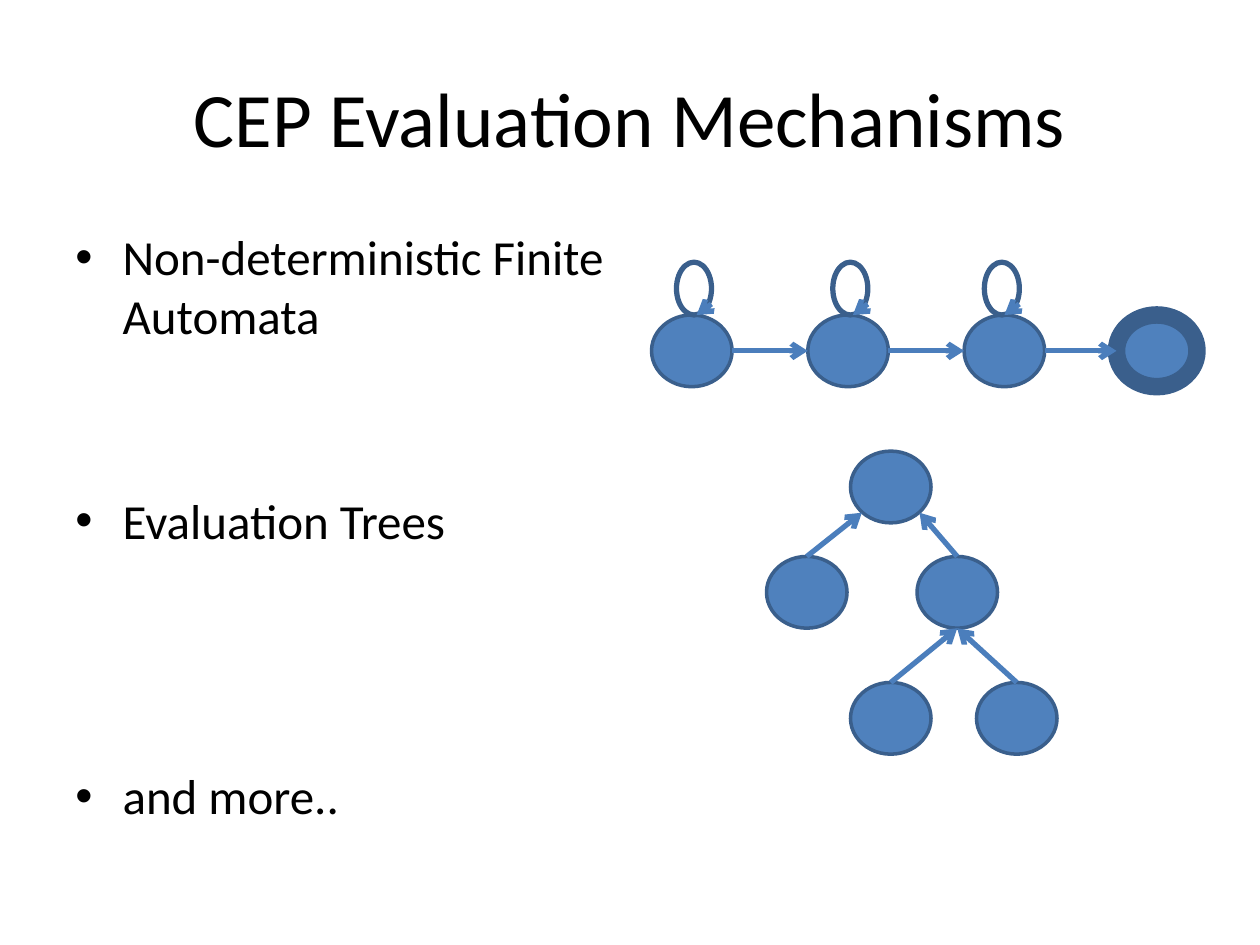
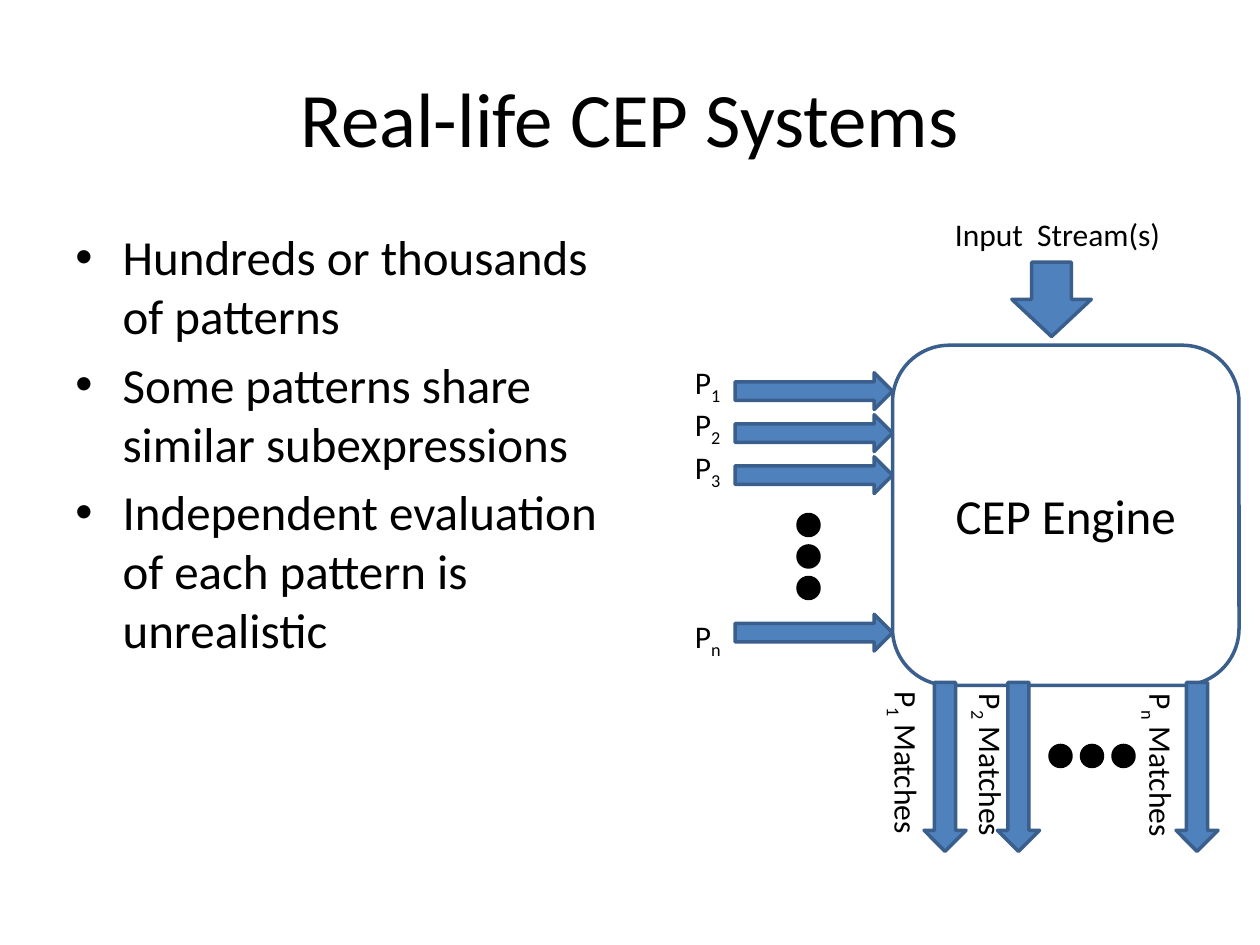
from lxml import etree
from pptx import Presentation
from pptx import util as u
from pptx.dml.color import RGBColor
from pptx.enum import shapes as kinds, text as t
from pptx.oxml import ns

FONT = "Calibri"
BLACK, BLUE, DARK_BLUE, ARROW_BLUE = "000000", "4F81BD", "3A5F8C", "4B7EBC"
SHAPE = kinds.MSO_SHAPE
CENTER, LEFT = t.PP_ALIGN.CENTER, t.PP_ALIGN.LEFT
TITLE_BOX = (36, 21.6, 648, 90)
BODY_BOX = (36, 126, 318, 356.4)
BULLET_INDENT, BULLET_GAP = 27, 5.6
NODE_WIDTH, NODE_HEIGHT = 46, 41
LOOP_WIDTH, LOOP_HEIGHT = 20, 30.2
DOT_SIZE = 12
LABEL_HEIGHT = 28.8


def color(hex_text):
    return RGBColor.from_string(hex_text)


def points(values):
    return [u.Pt(value) for value in values]


def add_child(parent, tag, **attributes):
    return etree.SubElement(parent, ns.qn(tag), attributes)


# Text
def write(paragraph, text, size=18, align=LEFT, before=0, subscript="", tail=""):
    paragraph.alignment = align
    paragraph.space_before = u.Pt(before)
    for part, baseline in ((text, None), (subscript, "-25000"), (tail, None)):
        if not part:
            continue
        run = paragraph.add_run()
        run.text = part
        run.font.name = FONT
        run.font.size = u.Pt(size)
        run.font.color.rgb = color(BLACK)
        if baseline:
            run.font._element.get_or_add_rPr().set("baseline", baseline) if hasattr(
                run.font._element, "get_or_add_rPr") else run._r.get_or_add_rPr().set("baseline", baseline)


def add_label(slide, box, text, rotation=0, **text_format):
    label = slide.shapes.add_textbox(*points(box))
    label.rotation = rotation
    label.text_frame.word_wrap = False
    write(label.text_frame.paragraphs[0], text, **text_format)


def add_bullets(slide, items):
    """Each item is a text and the space before it."""
    frame = slide.shapes.add_textbox(*points(BODY_BOX)).text_frame
    frame.word_wrap = True
    for index, (text, before) in enumerate(items):
        paragraph = frame.add_paragraph() if index else frame.paragraphs[0]
        write(paragraph, text, size=28, before=before)
        properties = paragraph._p.get_or_add_pPr()
        properties.set("marL", str(u.Pt(BULLET_INDENT)))
        properties.set("indent", str(-u.Pt(BULLET_INDENT)))
        add_child(properties, "a:buFont", typeface="Arial")
        add_child(properties, "a:buChar", char="•")


def add_titled_slide(presentation, text):
    slide = presentation.slides.add_slide(presentation.slide_layouts[5])
    title = slide.shapes.title
    title.left, title.top, title.width, title.height = points(TITLE_BOX)
    title.text_frame.vertical_anchor = t.MSO_ANCHOR.MIDDLE
    write(title.text_frame.paragraphs[0], text, size=44, align=CENTER)
    return slide


# Shapes and arrows
def add_figure(shapes, kind, box, fill=BLUE, line=DARK_BLUE, weight=2):
    figure = shapes.add_shape(kind, *points(box))
    figure.shadow.inherit = False
    if fill:
        figure.fill.solid()
        figure.fill.fore_color.rgb = color(fill)
    else:
        figure.fill.background()
    figure.line.color.rgb = color(line)
    figure.line.width = u.Pt(weight)
    return figure


def add_node(shapes, center_x, top, weight=2):
    box = (center_x - NODE_WIDTH / 2, top, NODE_WIDTH, NODE_HEIGHT)
    return add_figure(shapes, SHAPE.OVAL, box, weight=weight)


def add_arrow(shapes, start, end):
    arrow = shapes.add_connector(kinds.MSO_CONNECTOR.STRAIGHT, *points(start + end))
    arrow.line.color.rgb = color(ARROW_BLUE)
    arrow.line.width = u.Pt(3)
    add_child(arrow.line._get_or_add_ln(), "a:tailEnd", type="arrow")
    add_child(arrow._element.spPr, "a:effectLst")
    return arrow


def add_dots(slide, corners):
    for left, top in corners:
        add_figure(slide.shapes, SHAPE.OVAL, (left, top, DOT_SIZE, DOT_SIZE),
                   fill=BLACK, line=BLACK)


# Diagrams
def draw_automaton(slide):
    shapes = slide.shapes.add_group_shape().shapes
    top = 180
    middle = top + NODE_HEIGHT / 2
    centers = [395.3, 484.6, 573.9, 661]
    for center in centers:
        add_node(shapes, center, top, weight=10 if center == centers[-1] else 2)
    for source, target in zip(centers, centers[1:]):
        add_arrow(shapes, (source + NODE_WIDTH / 2, middle),
                  (target - NODE_WIDTH / 2, middle))
    # Self-loops
    for left in (386.6, 475.9, 562.5):
        add_figure(shapes, SHAPE.OVAL, (left, top - LOOP_HEIGHT, LOOP_WIDTH, LOOP_HEIGHT),
                   fill=None, weight=3)
        add_arrow(shapes, (left + 17.3, top - 4.3), (left + 11.5, top))


def draw_tree(slide):
    shapes = slide.shapes.add_group_shape().shapes
    root_x, root_top = 509, 257.8
    inner_x, inner_top = 547, 318
    leaf_top = 390
    add_node(shapes, root_x, root_top)
    inner_bottom = (inner_x, inner_top + NODE_HEIGHT)
    # Each child points at its parent
    children = [
        (461, inner_top, (root_x - 16.5, 293)),
        (inner_x, inner_top, (root_x + 16.5, 293)),
        (509, leaf_top, inner_bottom),
        (581, leaf_top, inner_bottom),
    ]
    for center, top, parent_point in children:
        child = add_node(shapes, center, top)
        arrow = add_arrow(shapes, (center, top), parent_point)
        arrow.begin_connect(child, 0)


def draw_engine(slide):
    engine = add_figure(slide.shapes, SHAPE.ROUNDED_RECTANGLE,
                        (510, 197.3, 198, 194.4), fill=None)
    engine.text_frame.vertical_anchor = t.MSO_ANCHOR.MIDDLE
    write(engine.text_frame.paragraphs[0], "CEP Engine", size=28, align=CENTER,
          before=BULLET_GAP)
    # Input stream
    add_figure(slide.shapes, SHAPE.DOWN_ARROW, (578.2, 149.8, 45.4, 42.5))
    add_label(slide, (538.6, 119.5, 133.2, LABEL_HEIGHT), "Input  Stream(s)")
    # Patterns going in
    for name, arrow_top, label_top in (("1", 213, 203.8), ("2", 237, 228.2),
                                       ("3", 261, 252.7), ("n", 351, 349.2)):
        add_figure(slide.shapes, SHAPE.RIGHT_ARROW, (420, arrow_top, 90, 21))
        add_label(slide, (390, label_top, 30.2, LABEL_HEIGHT), "P", subscript=name)
    add_dots(slide, [(456, 294 + 18 * row) for row in range(3)])
    # Matches coming out
    for name, arrow_left, label_left, label_top in (("1", 528, 469.4, 422.6),
                                                    ("2", 570, 517.7, 424),
                                                    ("n", 672, 614.9, 424)):
        add_figure(slide.shapes, SHAPE.DOWN_ARROW, (arrow_left, 390, 24, 96.5))
        add_label(slide, (label_left, label_top, 97.9, LABEL_HEIGHT), "P",
                  rotation=90, subscript=name, tail=" Matches")
    add_dots(slide, [(600 + 18 * column, 426) for column in range(3)])


def main():
    presentation = Presentation()
    presentation.slide_width, presentation.slide_height = points((720, 540))

    slide = add_titled_slide(presentation, "CEP Evaluation Mechanisms")
    add_bullets(slide, [("Non-deterministic Finite Automata", BULLET_GAP),
                        ("Evaluation Trees", 83.5),
                        ("and more..", 123.7)])
    draw_automaton(slide)
    draw_tree(slide)

    slide = add_titled_slide(presentation, "Real-life CEP Systems")
    add_bullets(slide, [(text, BULLET_GAP) for text in (
        "Hundreds or thousands of patterns",
        "Some patterns share similar subexpressions",
        "Independent evaluation of each pattern is unrealistic")])
    draw_engine(slide)

    presentation.save("out.pptx")


if __name__ == "__main__":
    main()
